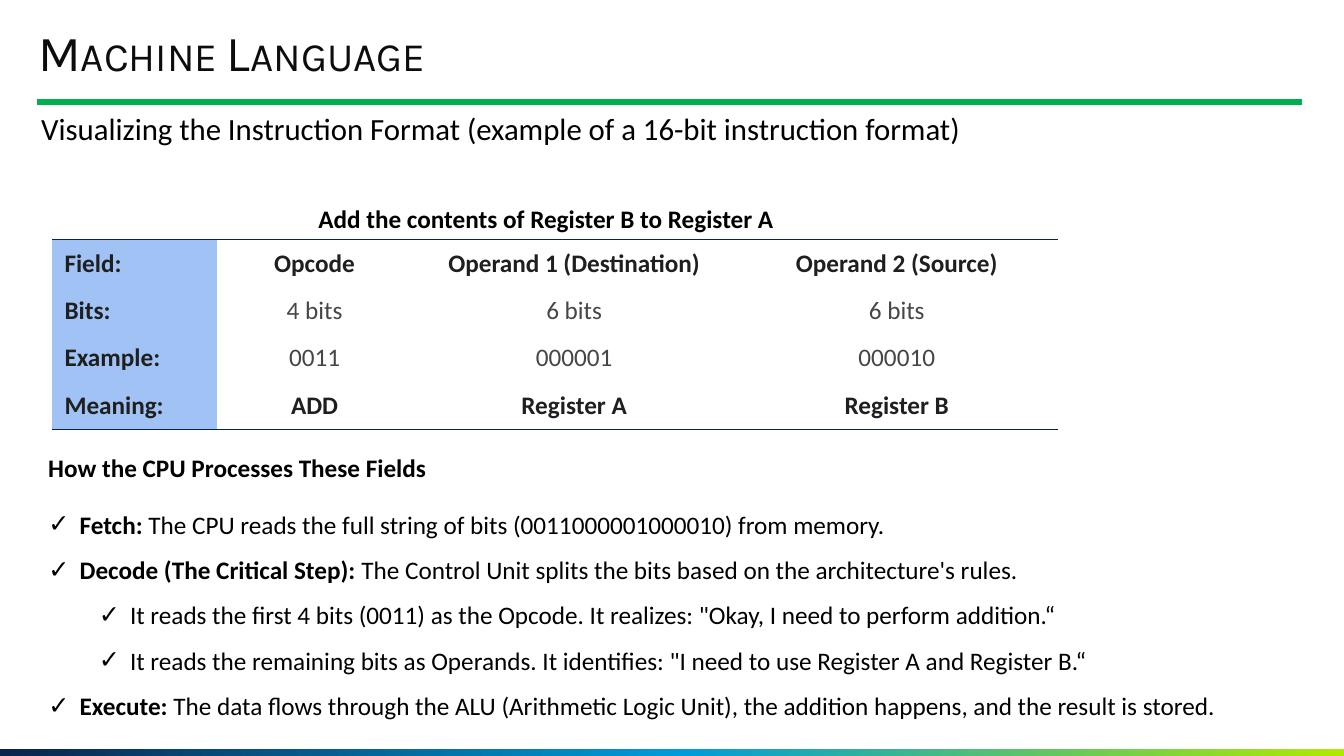
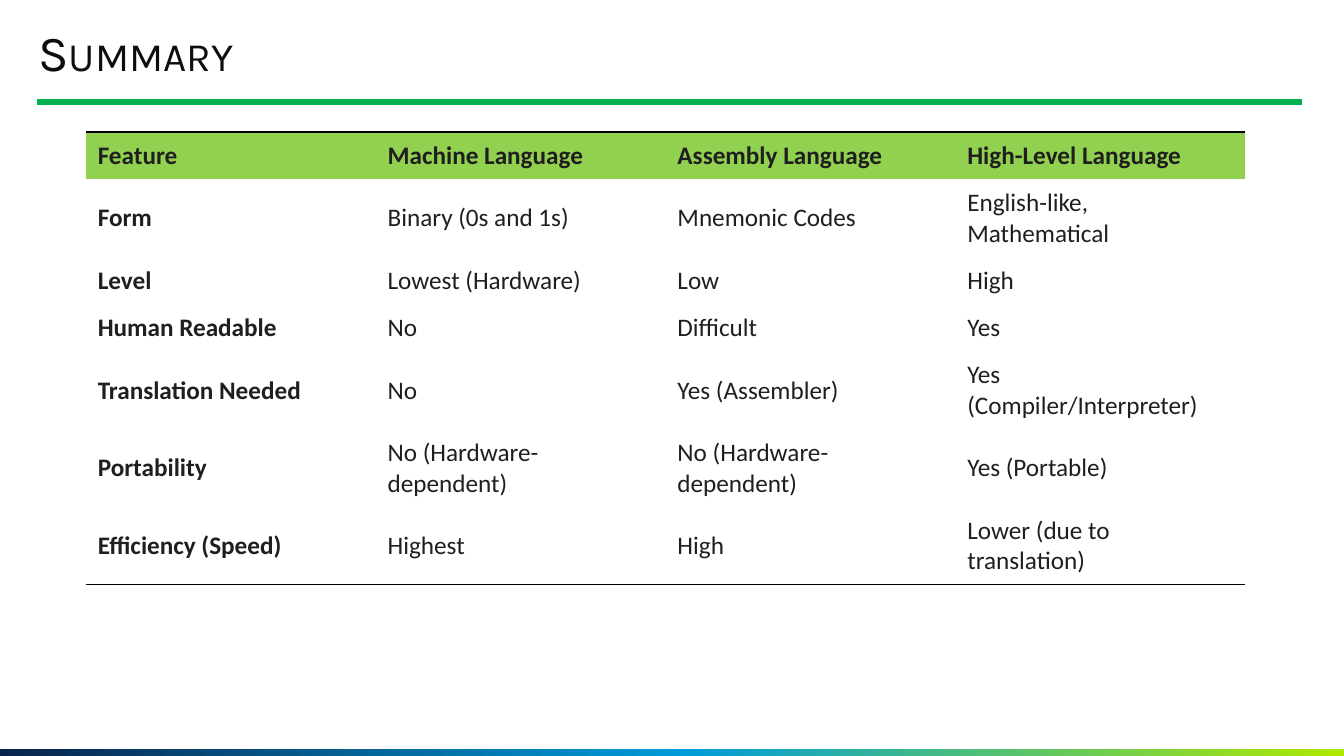
from copy import deepcopy

from lxml import etree
from pptx import Presentation
from pptx.dml.color import RGBColor
from pptx.enum.shapes import MSO_CONNECTOR, MSO_SHAPE
from pptx.enum.text import MSO_ANCHOR, MSO_AUTO_SIZE, PP_ALIGN
from pptx.oxml.ns import qn
from pptx.util import Inches, Pt

BODY_FONT = "Calibri"
TITLE_FONT = "Karla"
BLACK, INK, GREY, NAVY = "000000", "1F1F1F", "444746", "09244C"
BLUE, GREEN, RULE_GREEN = "A0C2F4", "92D050", "00B050"
BAND_STOPS = [(0, NAVY), (0.51, "009CDA"), (1, "B0E900")]
NO_TABLE_STYLE = "{2D5ABB26-0587-4C30-8999-92F81FD0307C}"


def rgb(value):
    return RGBColor.from_string(value)


def style_run(run, size, color, bold=False):
    run.font.name = BODY_FONT
    run.font.size = Pt(size)
    run.font.bold = bold
    run.font.color.rgb = rgb(color)


presentation = Presentation()
presentation.slide_width = Inches(13.33)
presentation.slide_height = Inches(7.5)
master = presentation.slide_master

# Shared title style
title = master.placeholders[0]
title.left, title.top = Inches(0.38), Inches(0.27)
title.width, title.height = Inches(11.19), Inches(0.55)
frame = title.text_frame
frame.margin_left = frame.margin_right = frame.margin_top = frame.margin_bottom = 0
frame.auto_size = MSO_AUTO_SIZE.NONE
frame.vertical_anchor = MSO_ANCHOR.MIDDLE

title_level = master.element.find(".//" + qn("p:titleStyle")).find(qn("a:lvl1pPr"))
title_level.set("algn", "l")
line_spacing = etree.Element(qn("a:lnSpc"))
etree.SubElement(line_spacing, qn("a:spcPct")).set("val", "90000")
title_level.insert(0, line_spacing)
title_font = title_level.find(qn("a:defRPr"))
title_font.set("sz", "3600")
title_font.set("cap", "small")
title_fill = title_font.find(qn("a:solidFill"))
title_fill.clear()
etree.SubElement(title_fill, qn("a:srgbClr")).set("val", "0D0D0D")
title_font.find(qn("a:latin")).set("typeface", TITLE_FONT)

# Slides with their titles
format_slide = presentation.slides.add_slide(presentation.slide_layouts[1])
format_slide.shapes.title.text_frame.text = "Machine Language"
summary_slide = presentation.slides.add_slide(presentation.slide_layouts[5])
summary_slide.shapes.title.text_frame.text = "Summary"

# Shared bottom band and title rule, moved to the master
band = format_slide.shapes.add_shape(
    MSO_SHAPE.RECTANGLE, 0, Inches(7.43), presentation.slide_width, Inches(0.07))
band.shadow.inherit = False
band.line.fill.background()
band.fill.gradient()
band.fill.gradient_angle = 0
stop_list = band.element.find(".//" + qn("a:gsLst"))
stop_list.append(deepcopy(stop_list[0]))
for stop, (position, color) in zip(band.fill.gradient_stops, BAND_STOPS):
    stop.position = position
    stop.color.rgb = rgb(color)

rule = format_slide.shapes.add_connector(
    MSO_CONNECTOR.STRAIGHT, Inches(0.37), Inches(1.01), Inches(12.91), Inches(1.01))
rule.line.color.rgb = rgb(RULE_GREEN)
rule.line.width = Pt(4.5)
etree.SubElement(rule.element.spPr, qn("a:effectLst"))

for shape_id, shape in enumerate((band, rule), start=100):
    shape.element.find(".//" + qn("p:cNvPr")).set("id", str(shape_id))
    master.shapes.element.append(shape.element)

# Subtitle and headings: text, left, top, width, height, size, bold
headings = [
    ("Visualizing the Instruction Format (example of a 16-bit instruction format)",
     0.31, 1.04, 12.65, 0.47, 22, False),
    ("Add the contents of Register B to Register A", 3.06, 1.97, 6.67, 0.4, 18, True),
    ("How the CPU Processes These Fields", 0.38, 4.44, 6.67, 0.4, 18, True),
]
for text, left, top, width, height, size, bold in headings:
    box = format_slide.shapes.add_textbox(
        Inches(left), Inches(top), Inches(width), Inches(height))
    box.text_frame.word_wrap = True
    box.text_frame.text = text
    style_run(box.text_frame.paragraphs[0].runs[0], size, BLACK, bold)

# Processing steps: level, bold lead, text
steps = [
    (0, "Fetch: ", "The CPU reads the full string of bits (0011000001000010) from memory."),
    (0, "Decode (The Critical Step): ",
     "The Control Unit splits the bits based on the architecture's rules."),
    (1, "", 'It reads the first 4 bits (0011) as the Opcode. '
            'It realizes: "Okay, I need to perform addition.“'),
    (1, "", 'It reads the remaining bits as Operands. '
            'It identifies: "I need to use Register A and Register B.“'),
    (0, "Execute: ", "The data flows through the ALU (Arithmetic Logic Unit), "
                     "the addition happens, and the result is stored."),
]
body = format_slide.placeholders[1]
body.left, body.top = Inches(0.38), Inches(4.85)
body.width, body.height = Inches(12.27), Inches(2.33)
body.text_frame.auto_size = MSO_AUTO_SIZE.NONE
for index, (level, lead, text) in enumerate(steps):
    paragraph = (body.text_frame.add_paragraph() if index
                 else body.text_frame.paragraphs[0])
    paragraph.level = level
    paragraph.line_spacing = 1.5
    paragraph.space_before = Pt(0)
    properties = paragraph._p.get_or_add_pPr()
    properties.set("marL", str(Inches(0.31 + 0.5 * level)))
    properties.set("indent", str(Inches(-0.31)))
    etree.SubElement(properties, qn("a:buFont")).set("typeface", BODY_FONT)
    etree.SubElement(properties, qn("a:buChar")).set("char", "✓")
    for part, bold in ((lead, True), (text, False)):
        if part:
            run = paragraph.add_run()
            run.text = part
            style_run(run, 18, BLACK, bold)

# Table contents
field_rows = [
    ["Field:", "Opcode", "Operand 1 (Destination)", "Operand 2 (Source)"],
    ["Bits:", "4 bits", "6 bits", "6 bits"],
    ["Example:", "0011", "000001", "000010"],
    ["Meaning:", "ADD", "Register A", "Register B"],
]
summary_rows = [
    ["Feature", "Machine Language", "Assembly Language", "High-Level Language"],
    ["Form", "Binary (0s and 1s)", "Mnemonic Codes", "English-like, Mathematical"],
    ["Level", "Lowest (Hardware)", "Low", "High"],
    ["Human Readable", "No", "Difficult", "Yes"],
    ["Translation Needed", "No", "Yes (Assembler)", "Yes (Compiler/Interpreter)"],
    ["Portability", "No (Hardware-dependent)", "No (Hardware-dependent)", "Yes (Portable)"],
    ["Efficiency (Speed)", "Highest", "High", "Lower (due to translation)"],
]
ONE_LINE, TWO_LINES = 0.47, 0.77

# Both tables: rows, place, sizes, bold rows, and colours
tables = [
    dict(slide=format_slide, rows=field_rows, left=0.52, top=2.38,
         widths=[1.63, 1.94, 3.21, 3.19], heights=[ONE_LINE] * 4,
         bold_rows=(0, 3), align=PP_ALIGN.CENTER, text=GREY, border=NAVY,
         column_fill=BLUE, row_fill=None),
    dict(slide=summary_slide, rows=summary_rows, left=0.85, top=1.31,
         widths=[11.5 / 4] * 4,
         heights=[ONE_LINE, TWO_LINES, ONE_LINE, ONE_LINE] + [TWO_LINES] * 3,
         bold_rows=(0,), align=PP_ALIGN.LEFT, text=INK, border=BLACK,
         column_fill=None, row_fill=GREEN),
]
for spec_row in tables:
    rows, widths, heights = spec_row["rows"], spec_row["widths"], spec_row["heights"]
    graphic = spec_row["slide"].shapes.add_table(
        len(rows), len(widths), Inches(spec_row["left"]), Inches(spec_row["top"]),
        Inches(sum(widths)), Inches(sum(heights)))
    graphic.element.find(".//" + qn("a:tableStyleId")).text = NO_TABLE_STYLE
    table = graphic.table
    table.first_row = table.horz_banding = False
    for column, width in zip(table.columns, widths):
        column.width = Inches(width)
    for row_index, texts in enumerate(rows):
        table.rows[row_index].height = Inches(heights[row_index])
        for column_index, text in enumerate(texts):
            cell = table.cell(row_index, column_index)
            cell.margin_left = cell.margin_right = Inches(0.12)
            cell.margin_top = cell.margin_bottom = Inches(0.08)
            cell.vertical_anchor = MSO_ANCHOR.MIDDLE
            cell.text_frame.text = text
            paragraph = cell.text_frame.paragraphs[0]
            paragraph.alignment = spec_row["align"] if column_index else PP_ALIGN.LEFT
            bold = column_index == 0 or row_index in spec_row["bold_rows"]
            style_run(paragraph.runs[0], 18, INK if bold else spec_row["text"], bold)

            fill = ((spec_row["column_fill"] if column_index == 0 else None)
                    or (spec_row["row_fill"] if row_index == 0 else None))
            if fill:
                cell.fill.solid()
                cell.fill.fore_color.rgb = rgb(fill)
            else:
                cell.fill.background()

            # Lines above the first row and below the last
            for edge_row, tag in ((0, "a:lnT"), (len(rows) - 1, "a:lnB")):
                if row_index == edge_row:
                    line = etree.Element(qn(tag), w=str(Pt(1)))
                    line_fill = etree.SubElement(line, qn("a:solidFill"))
                    etree.SubElement(line_fill, qn("a:srgbClr")).set(
                        "val", spec_row["border"])
                    cell._tc.get_or_add_tcPr().insert(0, line)

presentation.save("out.pptx")
